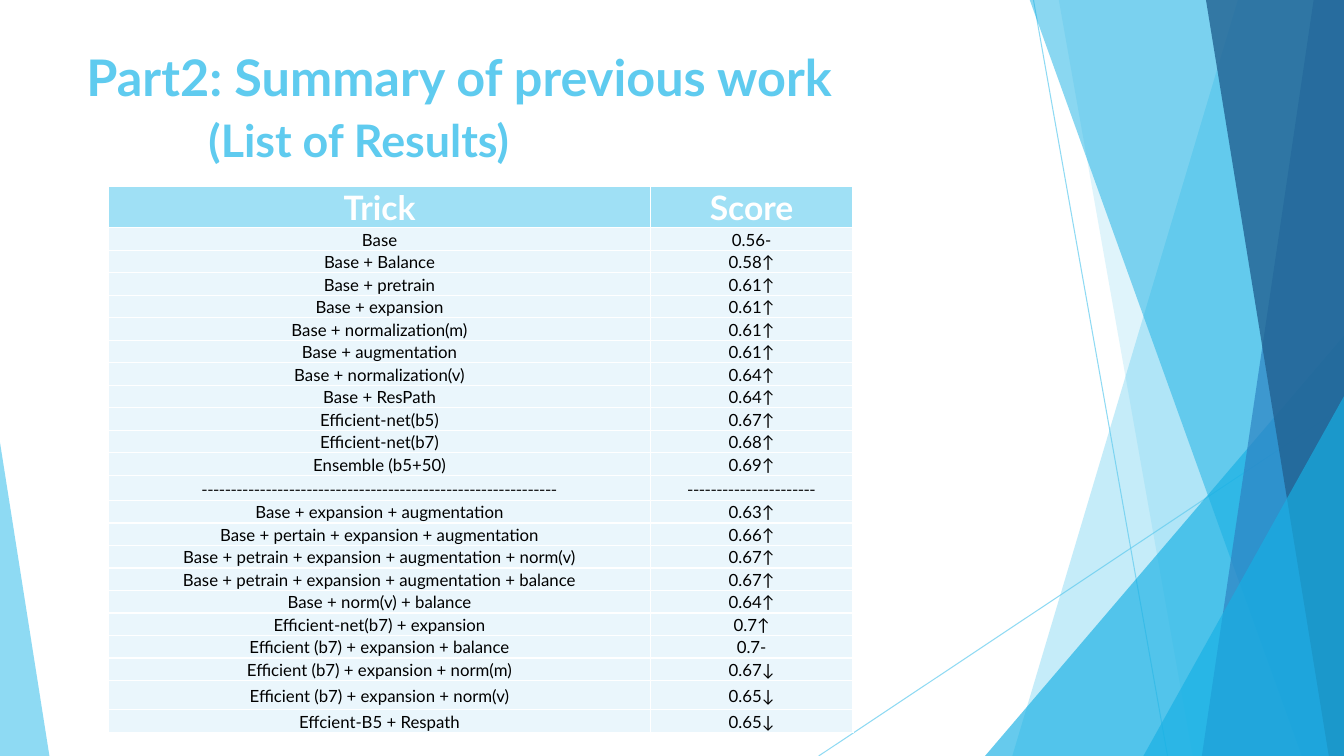
import lxml.etree
import pptx
import pptx.dml.color
import pptx.enum.shapes
import pptx.enum.text
import pptx.oxml.ns
import pptx.util

RGB = pptx.dml.color.RGBColor
SKY = RGB(0x5F, 0xCB, 0xEF)
CYAN = RGB(0x17, 0xB0, 0xE4)
BLUE = RGB(0x2E, 0x83, 0xC3)
NAVY = RGB(0x22, 0x62, 0x92)
HEADER_FILL = RGB(0x9F, 0xE0, 0xF5)
ROW_FILL = RGB(0xEA, 0xF6, 0xFC)
WHITE = RGB(0xFF, 0xFF, 0xFF)
BLACK = RGB(0, 0, 0)

FONT = "Lato"
DIVIDER_FONT = "Noto Sans CJK SC"
EMU_PER_PX = 9144
WIDTH, HEIGHT = 1333, 750

TABLE_HEIGHT = 542
COLUMN_WIDTHS = (537, 201)
DIVIDER_ROW = 12
SPECIAL_HEIGHTS = {0: 41, DIVIDER_ROW: 25, 21: 29}
RESULTS = (
    ("Trick", "Score"),
    ("Base", "0.56-"),
    ("Base + Balance", "0.58↑"),
    ("Base + pretrain", "0.61↑"),
    ("Base + expansion", "0.61↑"),
    ("Base + normalization(m)", "0.61↑"),
    ("Base + augmentation", "0.61↑"),
    ("Base + normalization(v)", "0.64↑"),
    ("Base + ResPath", "0.64↑"),
    ("Efficient-net(b5)", "0.67↑"),
    ("Efficient-net(b7)", "0.68↑"),
    ("Ensemble (b5+50)", "0.69↑"),
    ("-" * 61, "-" * 22),
    ("Base + expansion + augmentation", "0.63↑"),
    ("Base + pertain + expansion + augmentation", "0.66↑"),
    ("Base + petrain + expansion + augmentation + norm(v)", "0.67↑"),
    ("Base + petrain + expansion + augmentation + balance", "0.67↑"),
    ("Base + norm(v) + balance", "0.64↑"),
    ("Efficient-net(b7) + expansion", "0.7↑"),
    ("Efficient (b7) + expansion + balance", "0.7-"),
    ("Efficient (b7) + expansion + norm(m)", "0.67↓"),
    ("Efficient (b7) + expansion + norm(v)", "0.65↓"),
    ("Effcient-B5 + Respath", "0.65↓"),
)


def px(length):
    return pptx.util.Emu(round(length * EMU_PER_PX))


def add_element(parent, tag, **attributes):
    return lxml.etree.SubElement(parent, pptx.oxml.ns.qn(tag), attributes)


def set_opacity(properties, percent):
    for color in properties.iter(pptx.oxml.ns.qn("a:srgbClr")):
        add_element(color, "a:alpha", val=str(percent * 1000))


def paint(facet, color, opacity):
    facet.shadow.inherit = False
    facet.fill.solid()
    facet.fill.fore_color.rgb = color
    facet.line.fill.background()
    set_opacity(facet._element.spPr, opacity)


def add_ray(slide, x1, y1, x2, y2):
    ray = slide.shapes.add_connector(
        pptx.enum.shapes.MSO_CONNECTOR.STRAIGHT, px(x1), px(y1), px(x2), px(y2))
    ray.line.color.rgb = SKY
    ray.line.width = pptx.util.Pt(0.75)
    properties = ray._element.spPr
    set_opacity(properties, 70)
    add_element(properties, "a:effectLst")


def add_band(slide, top_x, bottom_x, color, opacity):
    """Fill from a slanted left edge to the right edge of the slide."""
    builder = slide.shapes.build_freeform(px(top_x), px(-1))
    corners = ((WIDTH, -1), (WIDTH, HEIGHT), (bottom_x, HEIGHT))
    builder.add_line_segments([(px(x), px(y)) for x, y in corners], close=True)
    paint(builder.convert_to_shape(), color, opacity)


def add_corner(slide, left, top, width, apex, color, opacity):
    """Triangle standing on the bottom edge; apex 0 is left, 1 is right."""
    corner = slide.shapes.add_shape(
        pptx.enum.shapes.MSO_SHAPE.ISOSCELES_TRIANGLE,
        px(left), px(top), px(width), px(HEIGHT - top))
    corner.adjustments[0] = apex
    paint(corner, color, opacity)


def add_backdrop(slide):
    add_ray(slide, 1025, 0, 1158, HEIGHT)
    add_ray(slide, WIDTH, 403, 812, HEIGHT)
    add_band(slide, 1228, 1004, SKY, 36)
    add_band(slide, 1050, 1183, SKY, 20)
    add_corner(slide, 977, 333, 356, 1, CYAN, 66)
    add_band(slide, 1021, 1291, CYAN, 50)
    add_band(slide, 1303, 1192, BLUE, 70)
    add_band(slide, 1196, 1318, NAVY, 80)
    add_corner(slide, 1134, 393, 199, 1, CYAN, 66)
    add_corner(slide, 0, 439, 49, 0, SKY, 70)


def format_text(paragraph, size, color, bold, font=FONT):
    for run in paragraph.runs:
        run.font.name = font
        run.font.size = pptx.util.Pt(size)
        run.font.color.rgb = color
        run.font.bold = bold


def add_title(slide):
    frame = slide.shapes.add_textbox(px(76), px(41), px(940), px(144)).text_frame
    frame.word_wrap = True
    frame.vertical_anchor = pptx.enum.text.MSO_ANCHOR.TOP
    frame.text = "Part2: Summary of previous work"
    format_text(frame.paragraphs[0], 36, SKY, True)
    subtitle = frame.add_paragraph()
    subtitle.text = "(List of Results)"
    subtitle.space_before = pptx.util.Pt(4)
    subtitle._p.get_or_add_pPr().set("marL", str(px(121)))
    format_text(subtitle, 32, SKY, True)


def add_borders(cell):
    properties = cell._tc.get_or_add_tcPr()
    for side in ("a:lnL", "a:lnR", "a:lnT", "a:lnB"):
        border = add_element(properties, side, w=str(pptx.util.Pt(1)))
        fill = add_element(border, "a:solidFill")
        add_element(fill, "a:srgbClr", val=str(WHITE))


def fill_cell(cell, text, row_index):
    add_borders(cell)
    cell.fill.solid()
    cell.fill.fore_color.rgb = ROW_FILL if row_index else HEADER_FILL
    cell.margin_left = cell.margin_right = cell.margin_top = px(1)
    cell.margin_bottom = 0
    cell.vertical_anchor = pptx.enum.text.MSO_ANCHOR.MIDDLE
    cell.text_frame.text = text
    paragraph = cell.text_frame.paragraphs[0]
    paragraph.alignment = pptx.enum.text.PP_ALIGN.CENTER
    if row_index == 0:
        format_text(paragraph, 24, WHITE, True)
    else:
        font = DIVIDER_FONT if row_index == DIVIDER_ROW else FONT
        format_text(paragraph, 12, BLACK, False, font)


def add_results(slide):
    table = slide.shapes.add_table(
        len(RESULTS), len(COLUMN_WIDTHS), px(108), px(185),
        px(sum(COLUMN_WIDTHS)), px(TABLE_HEIGHT)).table
    for column, width in zip(table.columns, COLUMN_WIDTHS):
        column.width = px(width)
    usual_height = ((TABLE_HEIGHT - sum(SPECIAL_HEIGHTS.values()))
                    / (len(RESULTS) - len(SPECIAL_HEIGHTS)))
    for row_index, result in enumerate(RESULTS):
        row = table.rows[row_index]
        row.height = px(SPECIAL_HEIGHTS.get(row_index, usual_height))
        for cell, text in zip(row.cells, result):
            fill_cell(cell, text, row_index)


def main():
    presentation = pptx.Presentation()
    presentation.slide_width = px(WIDTH)
    presentation.slide_height = px(HEIGHT)
    slide = presentation.slides.add_slide(presentation.slide_layouts[6])
    add_backdrop(slide)
    add_title(slide)
    add_results(slide)
    presentation.save("out.pptx")


if __name__ == "__main__":
    main()
